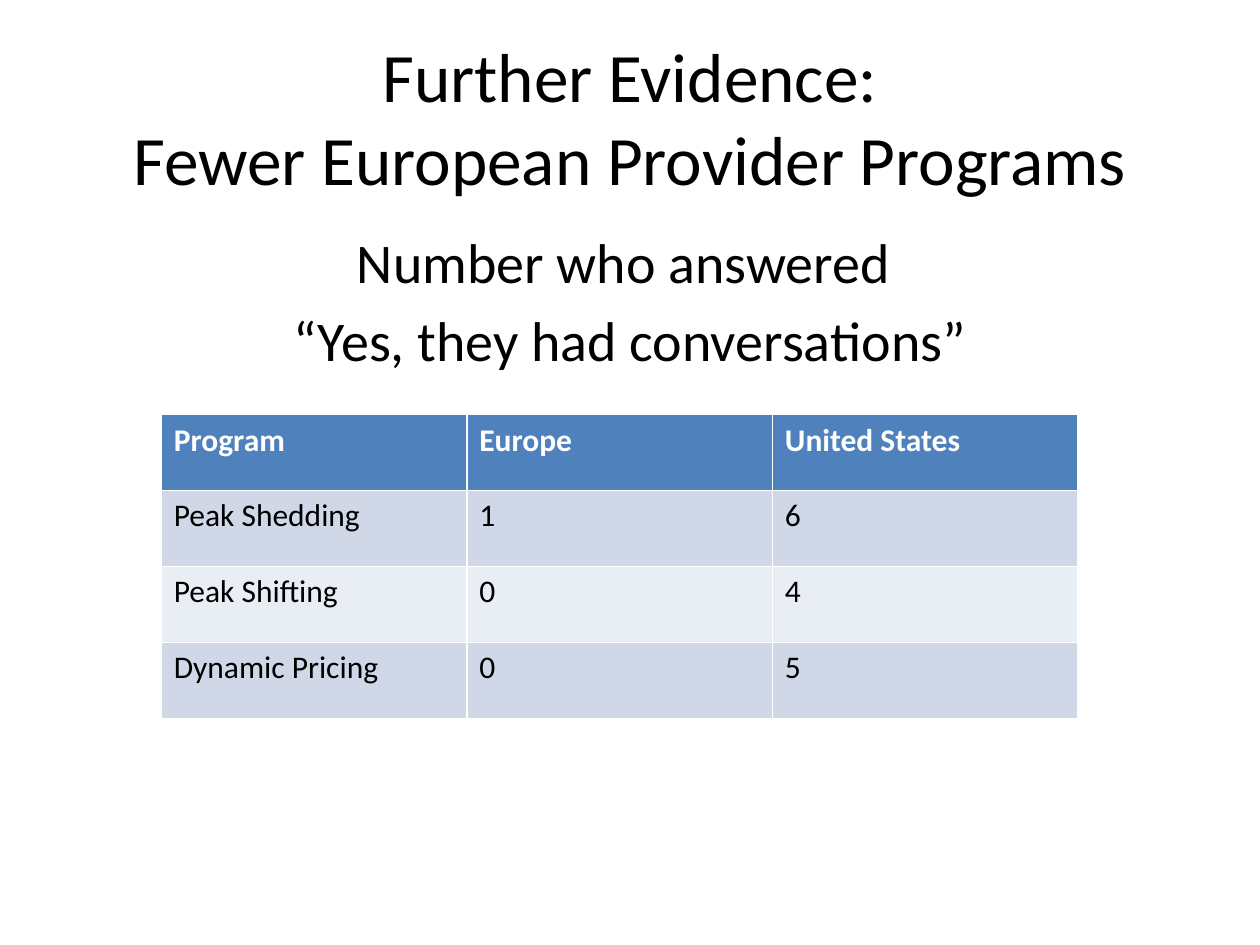
from copy import deepcopy
from dataclasses import dataclass
from typing import NamedTuple

from lxml.etree import SubElement
from pptx import Presentation
from pptx.dml.color import RGBColor as Rgb
from pptx.enum.text import MSO_ANCHOR as Anchor, MSO_AUTO_SIZE as AutoSize, PP_ALIGN as Align
from pptx.oxml.ns import qn
from pptx.util import Cm, Pt


@dataclass(frozen=True)
class Theme:
    font: str = "Calibri"
    title_size: float = 39.6
    body_size: float = 32
    table_size: float = 18
    ink: Rgb = Rgb(0x00, 0x00, 0x00)
    header_ink: Rgb = Rgb(0xFF, 0xFF, 0xFF)
    header_fill: Rgb = Rgb(0x4F, 0x81, 0xBD)
    band_fills: tuple[Rgb, Rgb] = (Rgb(0xD0, 0xD8, 0xE8), Rgb(0xE9, 0xED, 0xF4))


class Box(NamedTuple):
    left: Cm
    top: Cm
    width: Cm
    height: Cm


class ProgramCount(NamedTuple):
    program: str
    europe: str
    united_states: str


THEME = Theme()
TITLE_BOX = Box(Cm(1.27), Cm(0.76), Cm(22.86), Cm(3.18))
BODY_BOX = Box(Cm(1.27), Cm(4.45), Cm(22.86), Cm(12.57))
TABLE_BOX = Box(Cm(3.25), Cm(8.36), Cm(18.48), Cm(6.12))

TITLE = "Further Evidence:\vFewer European Provider Programs"
QUESTION = "Number who answered \n“Yes, they had conversations”"
HEADER = ProgramCount("Program", "Europe", "United States")
COUNTS = [
    ProgramCount("Peak Shedding", "1", "6"),
    ProgramCount("Peak Shifting", "0", "4"),
    ProgramCount("Dynamic Pricing", "0", "5"),
]


def format_runs(paragraph, size: float, color: Rgb, bold: bool = False) -> None:
    for run in paragraph.runs:
        run.font.name = THEME.font
        run.font.size = Pt(size)
        run.font.color.rgb = color
        run.font.bold = bold


def place(placeholder, box: Box, text: str, size: float) -> None:
    placeholder.left, placeholder.top, placeholder.width, placeholder.height = box
    frame = placeholder.text_frame
    frame.text = text
    frame.auto_size = AutoSize.NONE
    for paragraph in frame.paragraphs:
        paragraph.alignment = Align.CENTER
        format_runs(paragraph, size, THEME.ink)


def match_line_breaks(paragraph) -> None:
    """Give line breaks the run format, so that they do not stretch the line."""
    for line_break in paragraph._p.findall(qn("a:br")):
        line_break.append(deepcopy(paragraph.runs[0]._r.rPr))


def remove_bullet(paragraph) -> None:
    properties = paragraph._p.get_or_add_pPr()
    properties.set("marL", "0")
    properties.set("indent", "0")
    SubElement(properties, qn("a:buNone"))


def add_count_table(slide, box: Box, header: ProgramCount, counts: list[ProgramCount]) -> None:
    rows = [header, *counts]
    table = slide.shapes.add_table(len(rows), len(header), *box).table
    for row_index, row in enumerate(rows):
        is_header = row_index == 0
        fill = THEME.header_fill if is_header else THEME.band_fills[(row_index - 1) % 2]
        ink = THEME.header_ink if is_header else THEME.ink
        for column_index, entry in enumerate(row):
            cell = table.cell(row_index, column_index)
            cell.fill.solid()
            cell.fill.fore_color.rgb = fill
            cell.text_frame.text = entry
            format_runs(cell.text_frame.paragraphs[0], THEME.table_size, ink, bold=is_header)


def main() -> None:
    deck = Presentation()
    deck.slide_width, deck.slide_height = Cm(25.4), Cm(19.05)
    slide = deck.slides.add_slide(deck.slide_layouts[1])

    title, question = slide.placeholders
    place(title, TITLE_BOX, TITLE, THEME.title_size)
    title.text_frame.vertical_anchor = Anchor.MIDDLE
    match_line_breaks(title.text_frame.paragraphs[0])

    place(question, BODY_BOX, QUESTION, THEME.body_size)
    for paragraph in question.text_frame.paragraphs:
        remove_bullet(paragraph)

    add_count_table(slide, TABLE_BOX, HEADER, COUNTS)
    deck.save("out.pptx")


if __name__ == "__main__":
    main()
